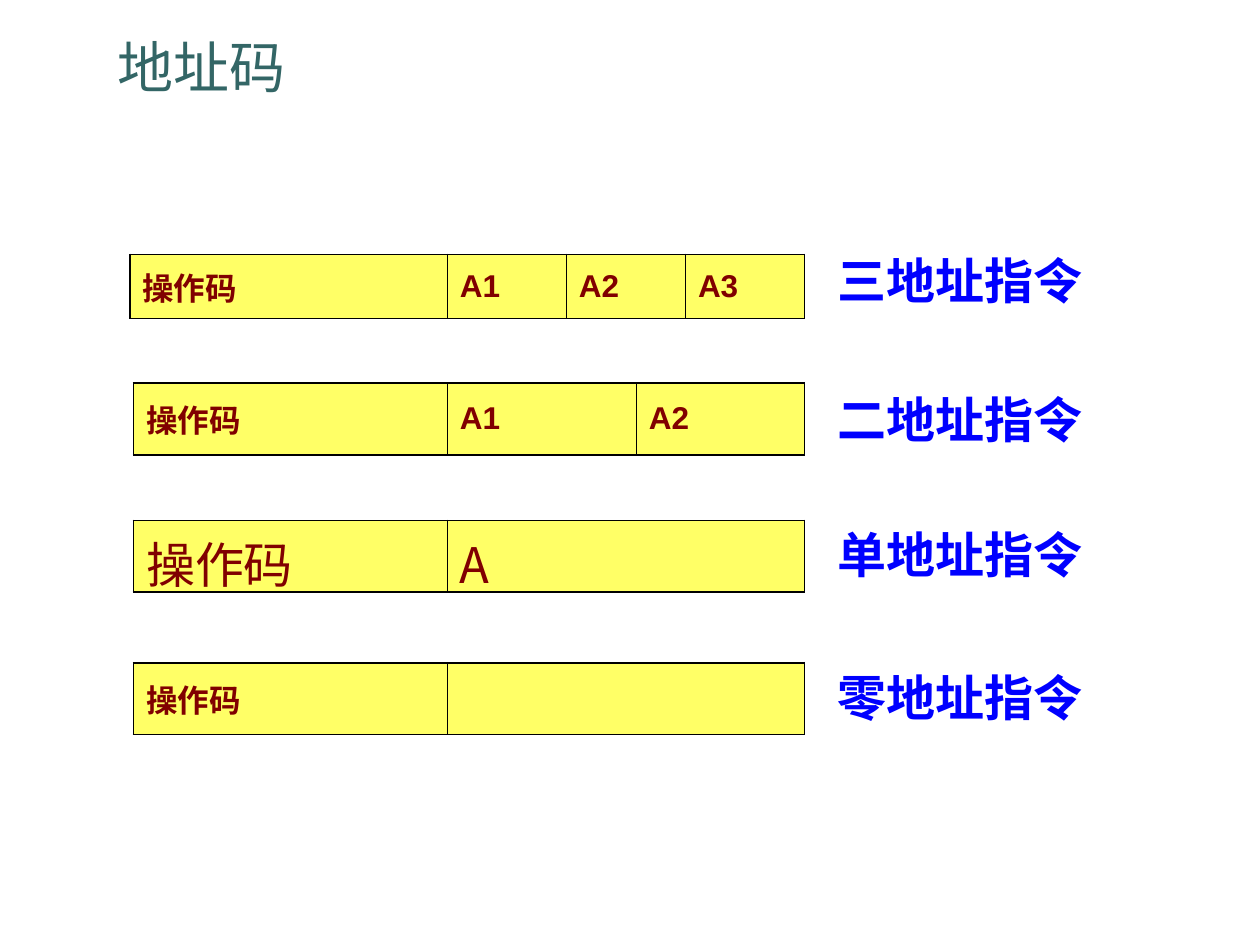
from lxml import etree
from pptx import Presentation
from pptx.dml.color import RGBColor
from pptx.enum.text import MSO_ANCHOR, PP_ALIGN
from pptx.oxml.ns import qn
from pptx.util import Pt

MIDDLE, TOP, BOTTOM = MSO_ANCHOR.MIDDLE, MSO_ANCHOR.TOP, MSO_ANCHOR.BOTTOM
LEFT, JUSTIFY = PP_ALIGN.LEFT, PP_ALIGN.JUSTIFY

CJK, SANS = "Noto Sans CJK SC", "Arial"
TEAL, MAROON, BLUE, YELLOW, BLACK = "336666", "800000", "0000FF", "FFFF66", "000000"
OUTER, INNER = 1.08, 0.45
ADDRESS_LEFT, TABLE_RIGHT = 255.6, 459.7
LABEL_LEFT, LABEL_WIDTH, LABEL_HEIGHT = 471.6, 178.6, 41

SMALL = dict(size=18, font=SANS, bold=True)
LARGE = dict(size=28, font=CJK, align=JUSTIFY)
ADDRESS_WIDTH = TABLE_RIGHT - ADDRESS_LEFT
# label, label top, table left, table top, height, address fields, widths, format
INSTRUCTIONS = [
    ("三地址指令", 139.7, 74.2, 145.4, 36.7, ["A1", "A2", "A3"], [ADDRESS_WIDTH / 3] * 3, SMALL),
    ("二地址指令", 218.9, 76.3, 218.9, 41, ["A1", "A2"], [108, ADDRESS_WIDTH - 108], SMALL),
    ("单地址指令", 295.9, 76.3, 297.4, 41, ["A"], [ADDRESS_WIDTH], LARGE),
    ("零地址指令", 378, 76.3, 378.7, 41, [""], [ADDRESS_WIDTH], SMALL),
]


def rgb(color):
    return RGBColor.from_string(color)


def write(tf, text, size, font, color, bold=False, align=LEFT):
    p = tf.paragraphs[0]
    p.alignment = align
    if not text:
        return
    r = p.add_run()
    r.text = text
    r.font.size = Pt(size)
    r.font.bold = bold
    r.font.name = font
    r.font.color.rgb = rgb(color)
    etree.SubElement(r.font._element, qn("a:ea"), typeface=CJK)


def add_text(s, box, text, anchor=TOP, **fmt):
    sp = s.shapes.add_textbox(*map(Pt, box))
    tf = sp.text_frame
    tf.word_wrap = True
    tf.vertical_anchor = anchor
    write(tf, text, **fmt)


def set_borders(cell, widths):
    """Draw the cell's borders, with widths in the order left, right, top, bottom."""
    tc_pr = cell._tc.get_or_add_tcPr()
    for i, (side, width) in enumerate(zip("LRTB", widths)):
        ln = etree.Element(qn(f"a:ln{side}"), w=str(int(Pt(width))))
        fill = etree.SubElement(ln, qn("a:solidFill"))
        etree.SubElement(fill, qn("a:srgbClr"), val=BLACK)
        tc_pr.insert(i, ln)


def add_instruction_format(s, box, fields, widths, fmt):
    """Draw one instruction word as a one-row table of fields."""
    table = s.shapes.add_table(1, len(fields), *map(Pt, box)).table
    table.first_row = table.horz_banding = False
    table.rows[0].height = Pt(box[3])
    last = len(fields) - 1
    for i, (text, width) in enumerate(zip(fields, widths)):
        table.columns[i].width = Pt(width)
        cell = table.cell(0, i)
        cell.vertical_anchor = MIDDLE
        cell.fill.solid()
        cell.fill.fore_color.rgb = rgb(YELLOW)
        set_borders(cell, [OUTER if i == 0 else INNER,
                           OUTER if i == last else INNER, OUTER, OUTER])
        write(cell.text_frame, text, color=MAROON, **fmt)


def main():
    prs = Presentation()
    prs.slide_width, prs.slide_height = Pt(720), Pt(540)
    s = prs.slides.add_slide(prs.slide_layouts[6])
    add_text(s, (59.8, 19.4, 606.2, 41), "地址码", anchor=BOTTOM,
             size=32, font=CJK, color=TEAL)
    for label, label_top, left, top, height, addresses, widths, fmt in INSTRUCTIONS:
        add_instruction_format(s, (left, top, TABLE_RIGHT - left, height),
                               ["操作码"] + addresses,
                               [ADDRESS_LEFT - left] + widths, fmt)
        add_text(s, (LABEL_LEFT, label_top, LABEL_WIDTH, LABEL_HEIGHT), label,
                 size=28, font=SANS, color=BLUE, bold=True)
    prs.save("out.pptx")


if __name__ == "__main__":
    main()
